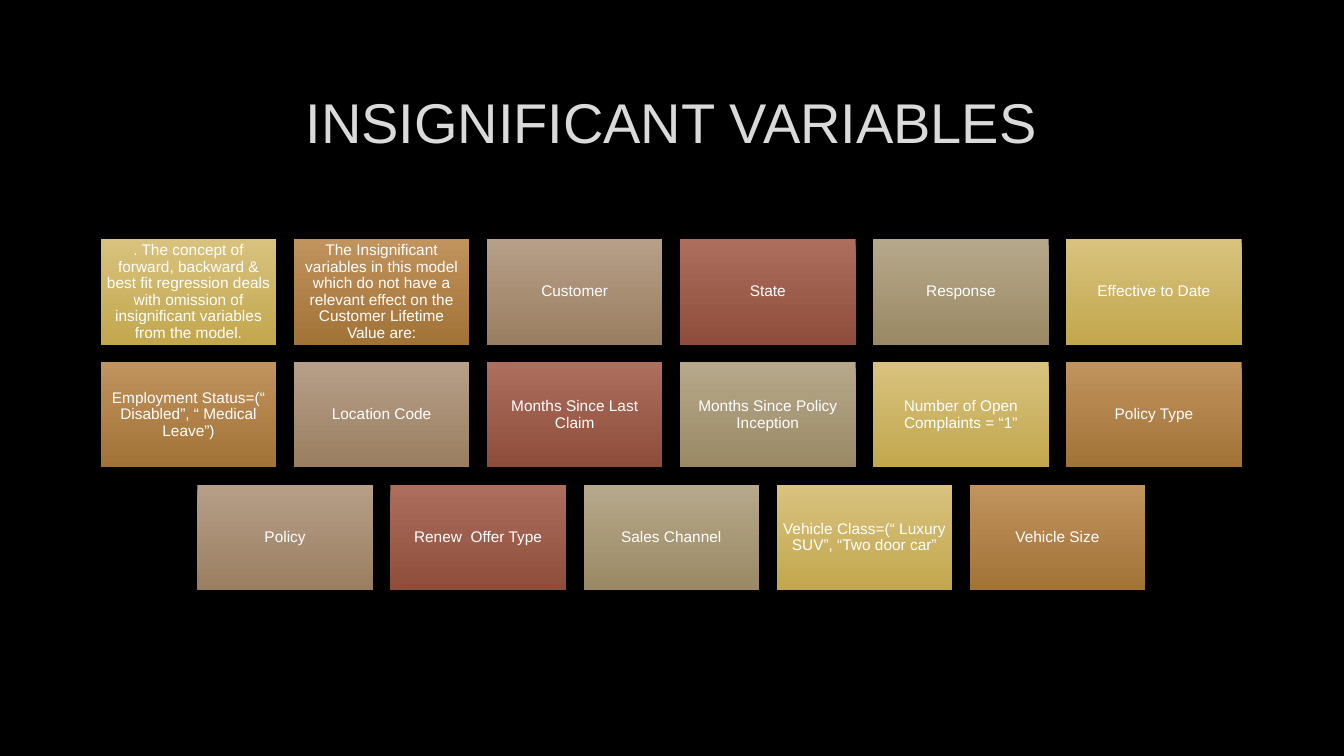
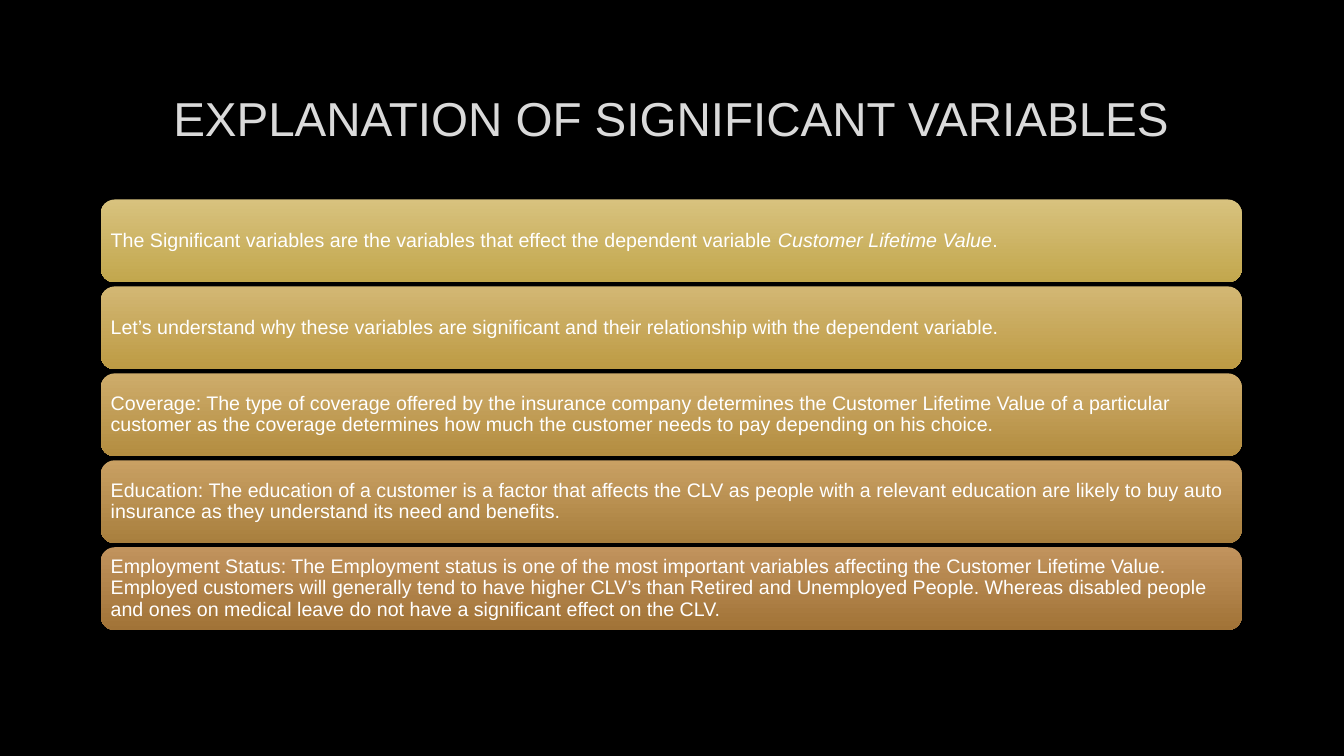
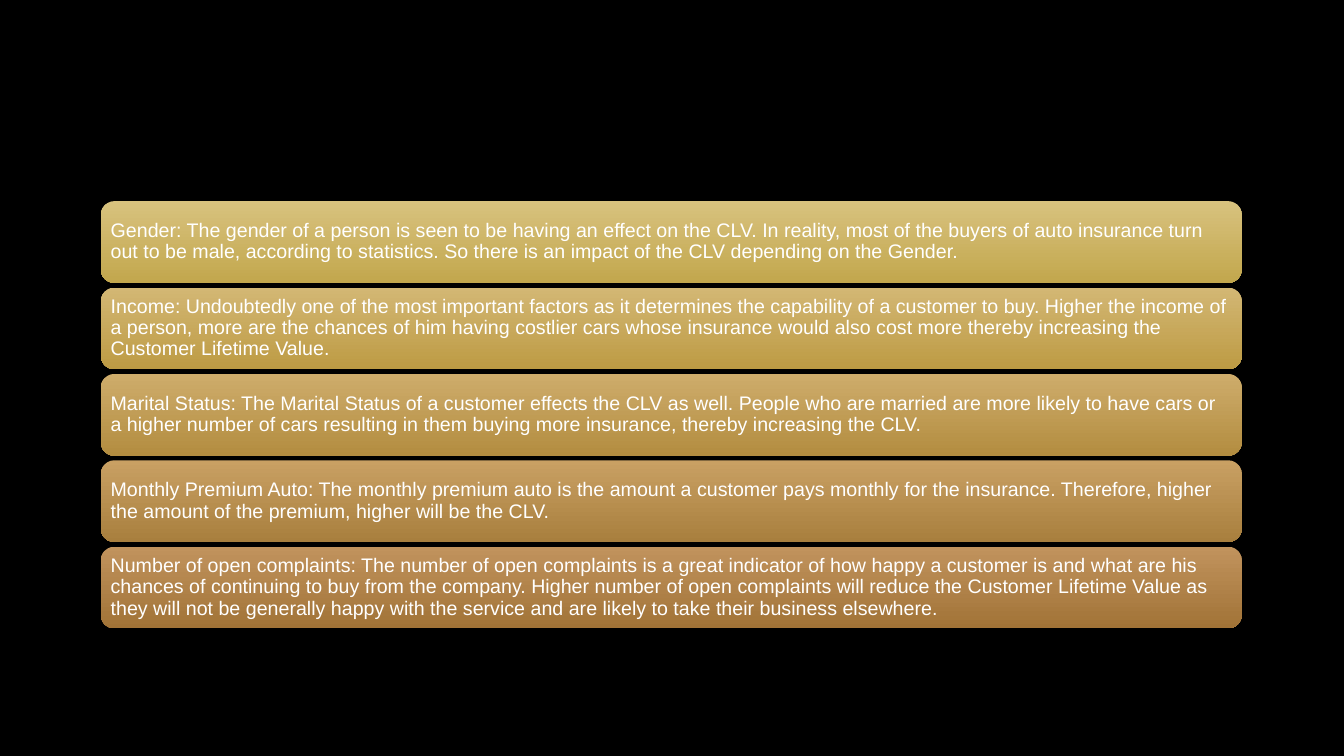
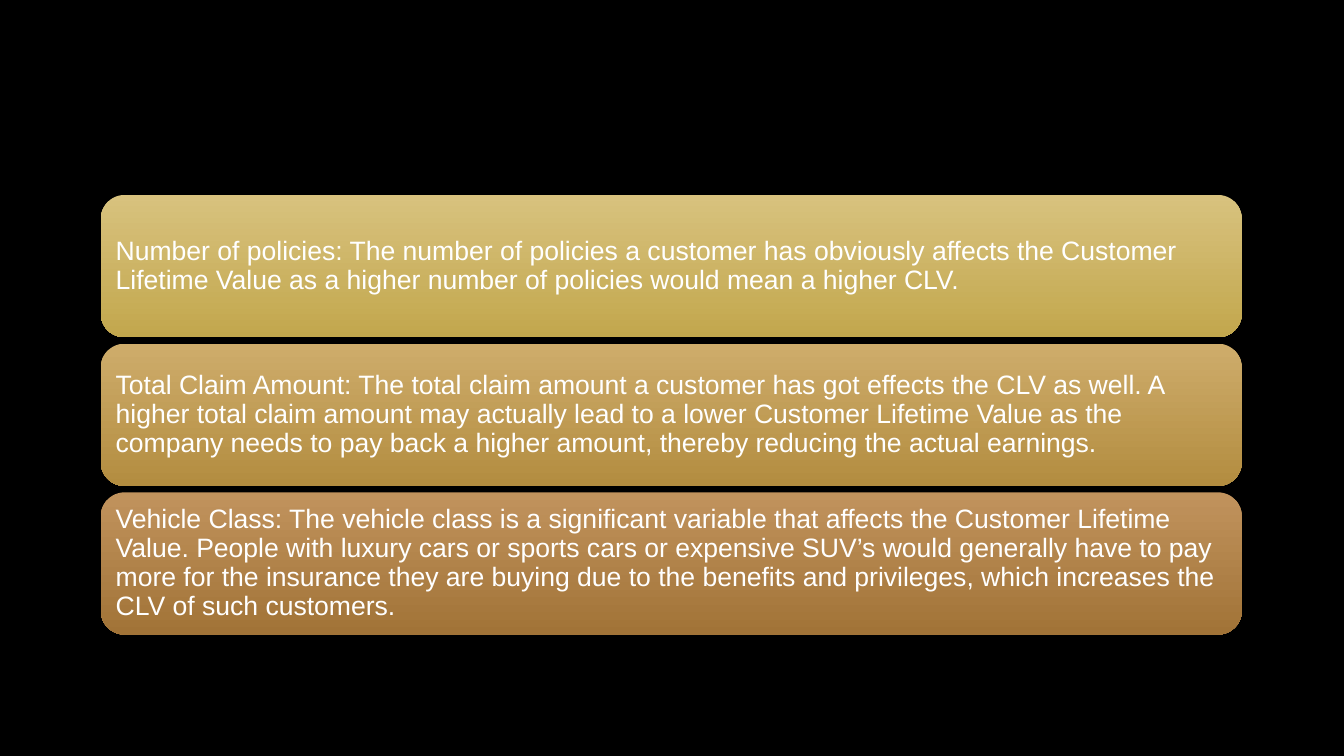
from pptx import Presentation
from pptx.dml.color import RGBColor
from pptx.enum.shapes import MSO_SHAPE
from pptx.enum.text import MSO_ANCHOR, PP_ALIGN
from pptx.util import Pt

RECTANGLE = MSO_SHAPE.RECTANGLE
ROUNDED = MSO_SHAPE.ROUNDED_RECTANGLE
MIDDLE = MSO_ANCHOR.MIDDLE
CENTER, LEFT = PP_ALIGN.CENTER, PP_ALIGN.LEFT

FONT = "Arial"
BLACK = RGBColor(0x00, 0x00, 0x00)
WHITE = RGBColor(0xFF, 0xFF, 0xFF)
TITLE_GRAY = RGBColor(0xDA, 0xDA, 0xDA)
GOLD = (RGBColor(0xD8, 0xC2, 0x7E), RGBColor(0xC2, 0xA7, 0x4D))
AMBER = (RGBColor(0xD3, 0xB7, 0x74), RGBColor(0xBD, 0x9B, 0x44))
OCHRE = (RGBColor(0xCE, 0xAC, 0x6B), RGBColor(0xB3, 0x8D, 0x40))
CARAMEL = (RGBColor(0xC9, 0xA0, 0x63), RGBColor(0xA8, 0x7F, 0x3E))
BRONZE = (RGBColor(0xC1, 0x93, 0x5D), RGBColor(0xA1, 0x73, 0x37))
TAUPE = (RGBColor(0xB6, 0x9F, 0x88), RGBColor(0x9A, 0x7E, 0x61))
BRICK = (RGBColor(0xAD, 0x6E, 0x5E), RGBColor(0x8E, 0x4D, 0x3A))
OLIVE = (RGBColor(0xB6, 0xA8, 0x8B), RGBColor(0x9A, 0x89, 0x64))
TILE_COLORS = [GOLD, BRONZE, TAUPE, BRICK, OLIVE]
BAND_COLORS = [GOLD, AMBER, OCHRE, CARAMEL, BRONZE]

PAGE_WIDTH, PAGE_HEIGHT = 960, 540
CONTENT_LEFT, CONTENT_WIDTH, CONTENT_MIDDLE = 72, 815, 296.3
TITLE_TOP, TITLE_HEIGHT = 48, 76.5
TILE_COLUMNS, TILE_SIZE = 6, 11

TILES = [
    ". The concept of forward, backward & best fit regression deals with omission of insignificant variables from the model.",
    "The Insignificant variables in this model which do not have a relevant effect on the Customer Lifetime Value are:",
    "Customer",
    "State",
    "Response",
    "Effective to Date",
    "Employment Status=(“ Disabled”, “ Medical Leave”)",
    "Location Code",
    "Months Since Last Claim",
    "Months Since Policy Inception",
    "Number of Open Complaints = “1”",
    "Policy Type",
    "Policy",
    "Renew  Offer Type",
    "Sales Channel",
    "Vehicle Class=(“ Luxury SUV”, “Two door car”",
    "Vehicle Size",
]

BAND_PAGES = [
    {
        "title": "EXPLANATION OF SIGNIFICANT VARIABLES",
        "size": 14, "height": 59.2, "gap": 2.9,
        "bands": [
            [("The Significant variables are the variables that effect the dependent variable ", False),
             ("Customer Lifetime Value", True), (".", False)],
            "Let’s understand why these variables are significant and their relationship with the dependent variable.",
            "Coverage: The type of coverage offered by the insurance company determines the Customer Lifetime Value of a particular customer as the coverage determines how much the customer needs to pay depending on his choice.",
            "Education: The education of a customer is a factor that affects the CLV as people with a relevant education are likely to buy auto insurance as they understand its need and benefits.",
            "Employment Status: The Employment status is one of the most important variables affecting the Customer Lifetime Value. Employed customers will generally tend to have higher CLV’s than Retired and Unemployed People. Whereas disabled people and ones on medical leave do not have a significant effect on the CLV.",
        ],
    },
    {
        "title": None,
        "size": 14, "height": 58.4, "gap": 3.3,
        "bands": [
            "Gender: The gender of a person is seen to be having an effect on the CLV. In reality, most of the buyers of auto insurance turn out to be male, according to statistics. So there is an impact of the CLV depending on the Gender.",
            "Income: Undoubtedly one of the most important factors as it determines the capability of a customer to buy. Higher the income of a person, more are the chances of him having costlier cars whose insurance would also cost more thereby increasing the Customer Lifetime Value.",
            "Marital Status: The Marital Status of a customer effects the CLV as well. People who are married are more likely to have cars or a higher number of cars resulting in them buying more insurance, thereby increasing the CLV.",
            "Monthly Premium Auto: The monthly premium auto is the amount a customer pays monthly for the insurance. Therefore, higher the amount of the premium, higher will be the CLV.",
            "Number of open complaints: The number of open complaints is a great indicator of how happy a customer is and what are his chances of continuing to buy from the company. Higher number of open complaints will reduce the Customer Lifetime Value as they will not be generally happy with the service and are likely to take their business elsewhere.",
        ],
    },
    {
        "title": None,
        "size": 19, "height": 101.6, "gap": 4.6,
        "bands": [
            "Number of policies: The number of policies a customer has obviously affects the Customer Lifetime Value as a higher number of policies would mean a higher CLV.",
            "Total Claim Amount: The total claim amount a customer has got effects the CLV as well. A higher total claim amount may actually lead to a lower Customer Lifetime Value as the company needs to pay back a higher amount, thereby reducing the actual earnings.",
            "Vehicle Class: The vehicle class is a significant variable that affects the Customer Lifetime Value. People with luxury cars or sports cars or expensive SUV’s would generally have to pay more for the insurance they are buying due to the benefits and privileges, which increases the CLV of such customers.",
        ],
    },
]


def set_all(target, values):
    for name, value in values.items():
        setattr(target, name, value)


def start_deck():
    deck = Presentation()
    deck.slide_width, deck.slide_height = Pt(PAGE_WIDTH), Pt(PAGE_HEIGHT)
    background = deck.slide_master.background.fill
    background.solid()
    background.fore_color.rgb = BLACK
    set_all(deck.slide_layouts.get_by_name("Title Only").placeholders[0], {
        "left": Pt(CONTENT_LEFT), "top": Pt(TITLE_TOP),
        "width": Pt(CONTENT_WIDTH), "height": Pt(TITLE_HEIGHT)})
    return deck


def write(para, spans, size, color):
    for text, italic in spans:
        span = para.add_run()
        span.text = text
        set_all(span.font, {"name": FONT, "size": Pt(size), "italic": italic})
        span.font.color.rgb = color


def add_page(deck, title=None, size=40, spacing=1.0):
    layout = "Title Only" if title else "Blank"
    page = deck.slides.add_slide(deck.slide_layouts.get_by_name(layout))
    if title:
        frame = page.shapes.title.text_frame
        frame.vertical_anchor = MIDDLE
        para = frame.paragraphs[0]
        set_all(para, {"alignment": CENTER, "line_spacing": spacing})
        write(para, [(title, False)], size, TITLE_GRAY)
    return page


def add_box(page, kind, place, colors, content, size, alignment):
    box = page.shapes.add_shape(kind, *map(Pt, place))
    box.shadow.inherit = False
    box.line.fill.background()
    box.fill.gradient()
    box.fill.gradient_angle = 270
    for stop, color in zip(box.fill.gradient_stops, colors):
        stop.color.rgb = color
    frame = box.text_frame
    inset = Pt(0.3 * size)
    set_all(frame, {"word_wrap": True, "vertical_anchor": MIDDLE,
                    "margin_left": inset, "margin_right": inset,
                    "margin_top": inset, "margin_bottom": inset})
    para = frame.paragraphs[0]
    set_all(para, {"alignment": alignment, "line_spacing": 0.9})
    spans = [(content, False)] if isinstance(content, str) else content
    write(para, spans, size, WHITE)


def add_tiles(page):
    width = CONTENT_WIDTH / (TILE_COLUMNS + 0.1 * (TILE_COLUMNS - 1))
    height, gap = 0.6 * width, 0.1 * width
    rows = [TILES[start:start + TILE_COLUMNS]
            for start in range(0, len(TILES), TILE_COLUMNS)]
    top = CONTENT_MIDDLE - (len(rows) * (height + gap) - gap) / 2
    for row, texts in enumerate(rows):
        row_width = len(texts) * (width + gap) - gap
        left = CONTENT_LEFT + (CONTENT_WIDTH - row_width) / 2
        for column, text in enumerate(texts):
            place = (left + column * (width + gap), top + row * (height + gap), width, height)
            colors = TILE_COLORS[(row * TILE_COLUMNS + column) % len(TILE_COLORS)]
            add_box(page, RECTANGLE, place, colors, text, TILE_SIZE, CENTER)


def add_bands(page, bands, size, height, gap):
    pitch = height + gap
    top = CONTENT_MIDDLE - (len(bands) * pitch - gap) / 2
    color_step = (len(BAND_COLORS) - 1) // (len(bands) - 1)
    for index, content in enumerate(bands):
        place = (CONTENT_LEFT, top + index * pitch, CONTENT_WIDTH, height)
        add_box(page, ROUNDED, place, BAND_COLORS[index * color_step], content, size, LEFT)


def main():
    deck = start_deck()
    add_tiles(add_page(deck, "INSIGNIFICANT VARIABLES"))
    for item in BAND_PAGES:
        page = add_page(deck, item["title"], 34, 0.9)
        add_bands(page, item["bands"], item["size"], item["height"], item["gap"])
    deck.save("out.pptx")


if __name__ == "__main__":
    main()
